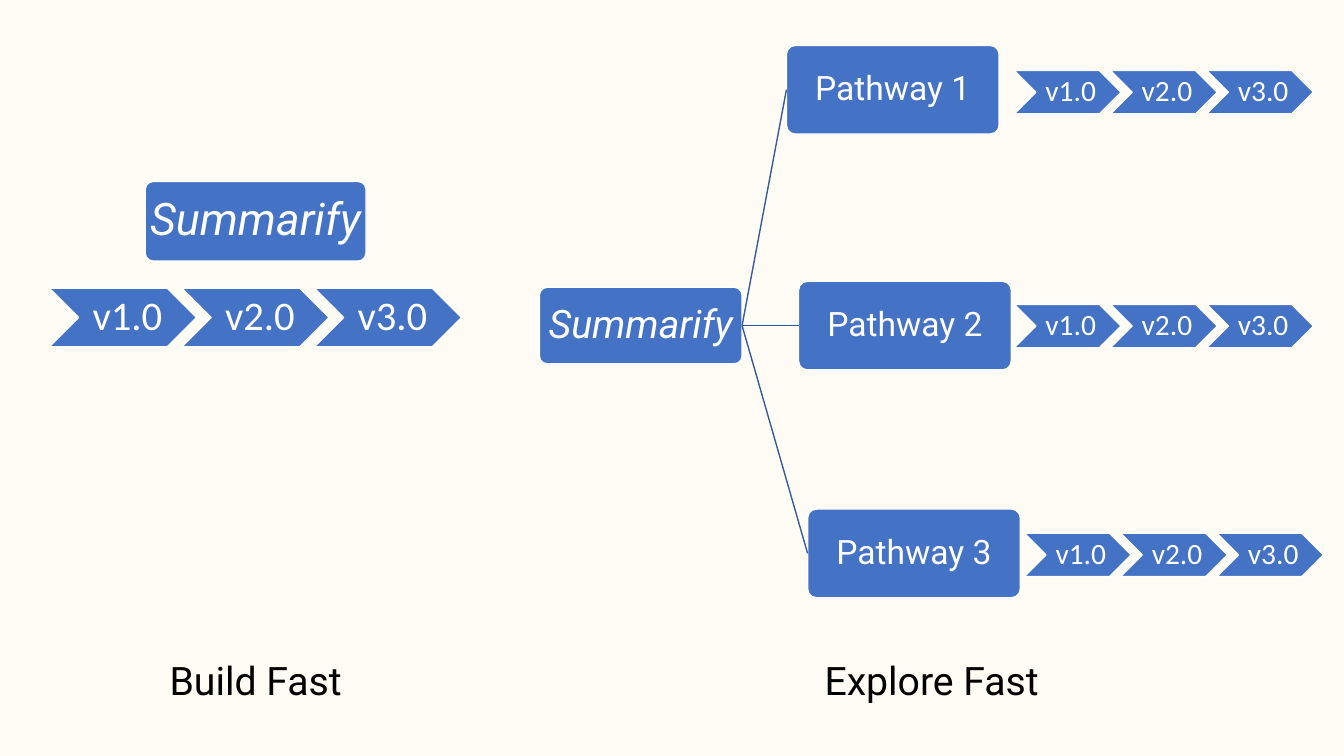
from lxml.etree import SubElement
from pptx import Presentation
from pptx.dml.color import RGBColor
from pptx.enum.shapes import MSO_CONNECTOR, MSO_SHAPE
from pptx.enum.text import MSO_ANCHOR, PP_ALIGN
from pptx.oxml.ns import qn
from pptx.util import Inches, Pt

BLUE, DARK_BLUE, WHITE, BLACK, CREAM = "4472C4", "365B9D", "FFFFFF", "000000", "FFFCF5"
PRODUCT = "Summarify"
VERSIONS = ["v1.0", "v2.0", "v3.0"]
PATHWAYS = [
    ("Pathway 1", 7.8, 0.45, 10.06, 0.7),
    ("Pathway 2", 7.92, 2.79, 10.06, 3.02),
    ("Pathway 3", 8.01, 5.05, 10.16, 5.29),
]


def paint(color_format, color):
    color_format.rgb = RGBColor.from_string(color)


def write(tf, text, size, font, color, italic=None):
    tf.vertical_anchor = MSO_ANCHOR.MIDDLE
    p = tf.paragraphs[0]
    p.alignment = PP_ALIGN.CENTER
    r = p.add_run()
    r.text = text
    r.font.size = Pt(size)
    r.font.name = font
    r.font.italic = italic
    paint(r.font.color, color)
    return p


def add_block(s, kind, x, y, w, h, text, size, font, margins, italic=None):
    sp = s.shapes.add_shape(kind, Inches(x), Inches(y), Inches(w), Inches(h))
    sp.shadow.inherit = False
    sp.fill.solid()
    paint(sp.fill.fore_color, BLUE)
    paint(sp.line.color, WHITE)
    sp.line.width = Pt(1)
    tf = sp.text_frame
    tf.word_wrap = False
    tf.margin_left, tf.margin_right = [Inches(m) for m in margins]
    tf.margin_top = tf.margin_bottom = Inches(0.03)
    write(tf, text, size, font, WHITE, italic).line_spacing = 0.9
    return sp


def add_box(s, x, y, w, h, text, size, italic=None):
    sp = add_block(s, MSO_SHAPE.ROUNDED_RECTANGLE, x, y, w, h,
                   text, size, "Roboto", (0.04, 0.04), italic)
    sp.adjustments[0] = 0.1
    return sp


def add_versions(s, x, y, w, h, size, margins):
    for i, version in enumerate(VERSIONS):
        add_block(s, MSO_SHAPE.CHEVRON, x + i * 0.9 * w, y, w, h,
                  version, size, "Calibri", margins)


def add_branch(s, root, target):
    line = s.shapes.add_connector(MSO_CONNECTOR.STRAIGHT, 0, 0, 0, 0)
    line.begin_connect(root, 3)
    line.end_connect(target, 1)
    paint(line.line.color, DARK_BLUE)
    line.line.width = Pt(1)
    SubElement(line._element.spPr, qn("a:effectLst"))


def add_caption(s, x, w, text):
    sp = s.shapes.add_textbox(Inches(x), Inches(6.46), Inches(w), Inches(0.57))
    sp.text_frame.word_wrap = True
    write(sp.text_frame, text, 28, "Roboto", BLACK)


def main():
    prs = Presentation()
    prs.slide_width, prs.slide_height = Inches(13.33), Inches(7.5)
    s = prs.slides.add_slide(prs.slide_layouts[6])
    s.background.fill.solid()
    paint(s.background.fill.fore_color, CREAM)

    add_box(s, 1.44, 1.8, 2.19, 0.79, PRODUCT, 32, True)
    add_versions(s, 0.49, 2.86, 1.46, 0.58, 29, (0.13, 0.04))
    add_caption(s, 0.49, 4.09, "Build Fast")

    root = add_box(s, 5.35, 2.85, 2.01, 0.76, PRODUCT, 28, True)
    for name, x, y, versions_x, versions_y in PATHWAYS:
        pathway = add_box(s, x, y, 2.11, 0.88, name, 24)
        add_branch(s, root, pathway)
        add_versions(s, versions_x, versions_y, 1.06, 0.43, 21, (0.09, 0.03))
    add_caption(s, 5.35, 7.78, "Explore Fast")

    prs.save("out.pptx")


if __name__ == "__main__":
    main()
